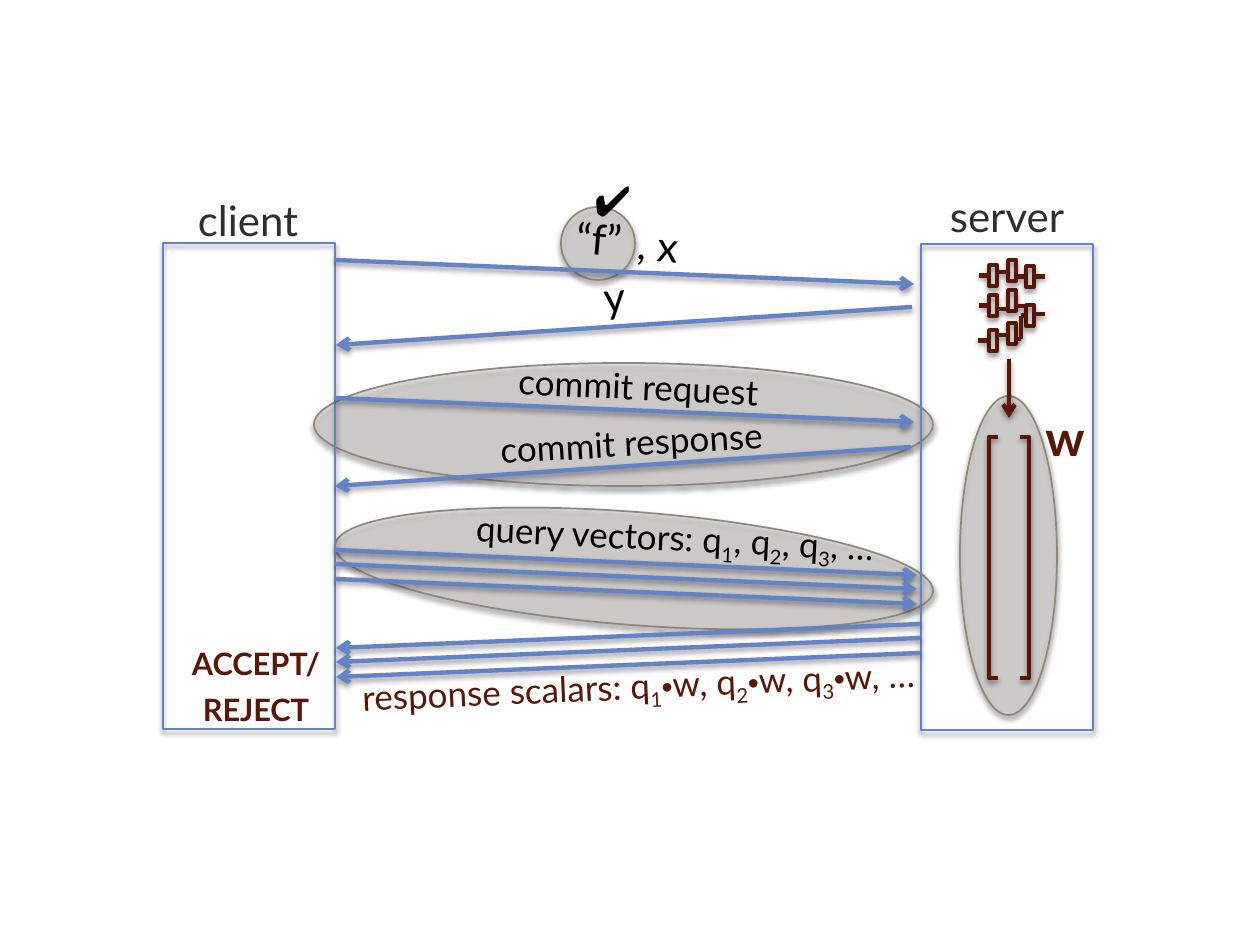
from lxml import etree
from pptx import Presentation, util as u
from pptx.dml.color import RGBColor
from pptx.enum import shapes, text
from pptx.oxml import ns

PX = 914400 / 126
BLUE, MAROON, GREY = "6284C6", "5A1705", "D2CFCB"
RECT, OVAL = shapes.MSO_SHAPE.RECTANGLE, shapes.MSO_SHAPE.OVAL
GATE_W, GATE_H = 8, 21


def px(*values):
    return [u.Emu(round(v * PX)) for v in values]


def rgb(value):
    return RGBColor.from_string(value)


def child(parent, tag, **attrs):
    return etree.SubElement(parent, ns.qn(tag), {k: str(v) for k, v in attrs.items()})


def add_shadow(sp, alpha, blur, dist):
    spPr = sp._element.spPr
    for old in spPr.findall(ns.qn("a:effectLst")):
        spPr.remove(old)
    shadow = child(child(spPr, "a:effectLst"), "a:outerShdw", blurRad=u.Pt(blur),
                   dist=u.Pt(dist), dir=5400000, rotWithShape=0)
    child(child(shadow, "a:srgbClr", val="000000"), "a:alpha", val=alpha * 1000)


def add_box(container, kind, box, color, width=1, fill=None, rot=0, shadow=(50, 3, 2)):
    sp = container.add_shape(kind, *px(*box))
    sp.rotation = rot
    if fill:
        sp.fill.solid()
        sp.fill.fore_color.rgb = rgb(fill)
        child(sp.fill._xPr.solidFill[0], "a:alpha", val=45000)
    else:
        sp.fill.background()
    sp.line.color.rgb = rgb(color)
    sp.line.width = u.Pt(width)
    add_shadow(sp, *shadow)
    return sp


def add_line(container, start, end, color, arrow=False):
    line = container.add_connector(shapes.MSO_CONNECTOR.STRAIGHT, *px(*start, *end))
    line.line.color.rgb = rgb(color)
    line.line.width = u.Pt(2.5)
    if arrow:
        child(line.line._get_or_add_ln(), "a:tailEnd", type="arrow")
    add_shadow(line, 38, 3.1, 1.6)
    return line


def add_text(s, box, runs, size=20, color="000000", font="Lato", bold=False,
             rot=0, align=text.PP_ALIGN.CENTER, small_caps=False):
    sp = s.shapes.add_textbox(*px(*box))
    sp.rotation = rot
    tf = sp.text_frame
    tf.word_wrap = True
    tf.auto_size = text.MSO_AUTO_SIZE.SHAPE_TO_FIT_TEXT
    p = tf.paragraphs[0]
    p.alignment = align
    for words, style in [(runs, {})] if isinstance(runs, str) else runs:
        r = p.add_run()
        r.text = words
        r.font.size = u.Pt(style.get("size", size))
        r.font.name = style.get("font", font)
        r.font.bold = bold
        r.font.color.rgb = rgb(color)
        if style.get("sub"):
            r.font._element.set("baseline", "-25000")
        if small_caps:
            r.font._element.set("cap", "small")


def indexed_runs(lead, dot=False):
    runs = []
    for n in (1, 2, 3):
        runs += [(lead + "q", {}), (str(n), {"sub": True})]
        if dot:
            runs.append(("•", {"size": 18, "font": "Arial"}))
        lead = "w, " if dot else ", "
    return runs + [(lead + "…", {})]


def add_circuit(s):
    parts = s.shapes.add_group_shape().shapes
    corners = [(989, 265), (989, 295), (989, 330), (1008, 260),
               (1008, 290), (1008, 323), (1026, 266), (1026, 305)]
    gates = [add_box(parts, RECT, (x, y, GATE_W, GATE_H), MAROON, 2) for x, y in corners]
    for i, site, x in [(0, 1, 979), (1, 1, 979), (2, 1, 978),
                       (6, 1, 1016), (7, 1, 1021), (6, 3, 1045)]:
        y = corners[i][1] + GATE_H / 2
        add_line(parts, (x, y), (corners[i][0], y), MAROON).end_connect(gates[i], site)
    for x1, y1, x2, y2 in [(997, 309, 1008, 309), (998, 272, 1008, 272),
                           (997, 335, 1008, 335), (1016, 339, 1021, 339),
                           (1021, 316, 1021, 339), (1016, 306, 1026, 306),
                           (1034, 314, 1045, 314)]:
        add_line(parts, (x1, y1), (x2, y2), MAROON)


def add_vector(s):
    parts = s.shapes.add_group_shape().shapes
    for x, flip in [(989, False), (1020, True)]:
        sp = add_box(parts, shapes.MSO_SHAPE.LEFT_BRACKET, (x, 437, 9, 241),
                     MAROON, 2.5, shadow=(38, 3.1, 1.6))
        sp.adjustments[0] = 0
        if flip:
            sp._element.spPr.xfrm.set("flipH", "1")


def add_messages(s, client):
    for y in (260, 398):
        add_line(s.shapes, (335, y), (914, y + 24), BLUE, True)
    add_line(s.shapes, (912, 307), (336, 345), BLUE, True)
    reply = add_line(s.shapes, (911, 447), (336, 486), BLUE, True)
    reply.end_connect(client, 3)
    for i in range(3):
        shift = round(i * 14.5)
        add_line(s.shapes, (335, 550 + shift), (917, 575 + shift), BLUE, True)
        add_line(s.shapes, (920, 624 + shift), (336, 648 + shift), BLUE, True)


def add_labels(s):
    left = text.PP_ALIGN.LEFT
    add_text(s, (465, 207, 268, 63), "“f”", size=24, rot=4.9)
    add_text(s, (524, 213, 268, 63), ", x", size=24, rot=4.9)
    add_text(s, (480, 265, 268, 63), "y", size=24, rot=355.5)
    add_text(s, (151, 188, 194, 63), "client", size=24, color="2D2F2B")
    add_text(s, (910, 184, 194, 63), "server", size=24, color="2D2F2B")
    add_text(s, (1033, 401, 102, 72), "w", size=28, color=MAROON, bold=True, align=left)
    add_text(s, (418, 359, 441, 55), "commit request", rot=2.7)
    add_text(s, (411, 415, 441, 55), "commit response", rot=356.6)
    add_text(s, (401, 510, 548, 55), indexed_runs("query vectors: "), rot=2.7)
    add_text(s, (582, 168, 62, 63), "✔", size=24, font="Arial", align=left)
    add_text(s, (316, 658, 645, 55), indexed_runs("response scalars: ", dot=True),
             color=MAROON, rot=357.5)
    add_text(s, (159, 631, 194, 97), "accept/reject", size=22, color=MAROON,
             bold=True, small_caps=True)


def main():
    prs = Presentation()
    prs.slide_width, prs.slide_height = px(1260, 945)
    s = prs.slides.add_slide(prs.slide_layouts[6])
    for box, rot in [((960, 396, 97, 319), 0), ((334, 512, 600, 113), 4.4),
                     ((314, 363, 619, 123), 0), ((561, 207, 74, 73), 0)]:
        add_box(s.shapes, OVAL, box, "8E887C", fill=GREY, rot=rot)
    client = add_box(s.shapes, RECT, (163, 243, 172, 486), BLUE)
    add_box(s.shapes, RECT, (921, 244, 172, 486), BLUE)
    add_messages(s, client)
    add_vector(s)
    add_circuit(s)
    add_line(s.shapes, (1009, 359), (1009, 418), MAROON, True)
    add_labels(s)
    prs.save("out.pptx")


if __name__ == "__main__":
    main()
